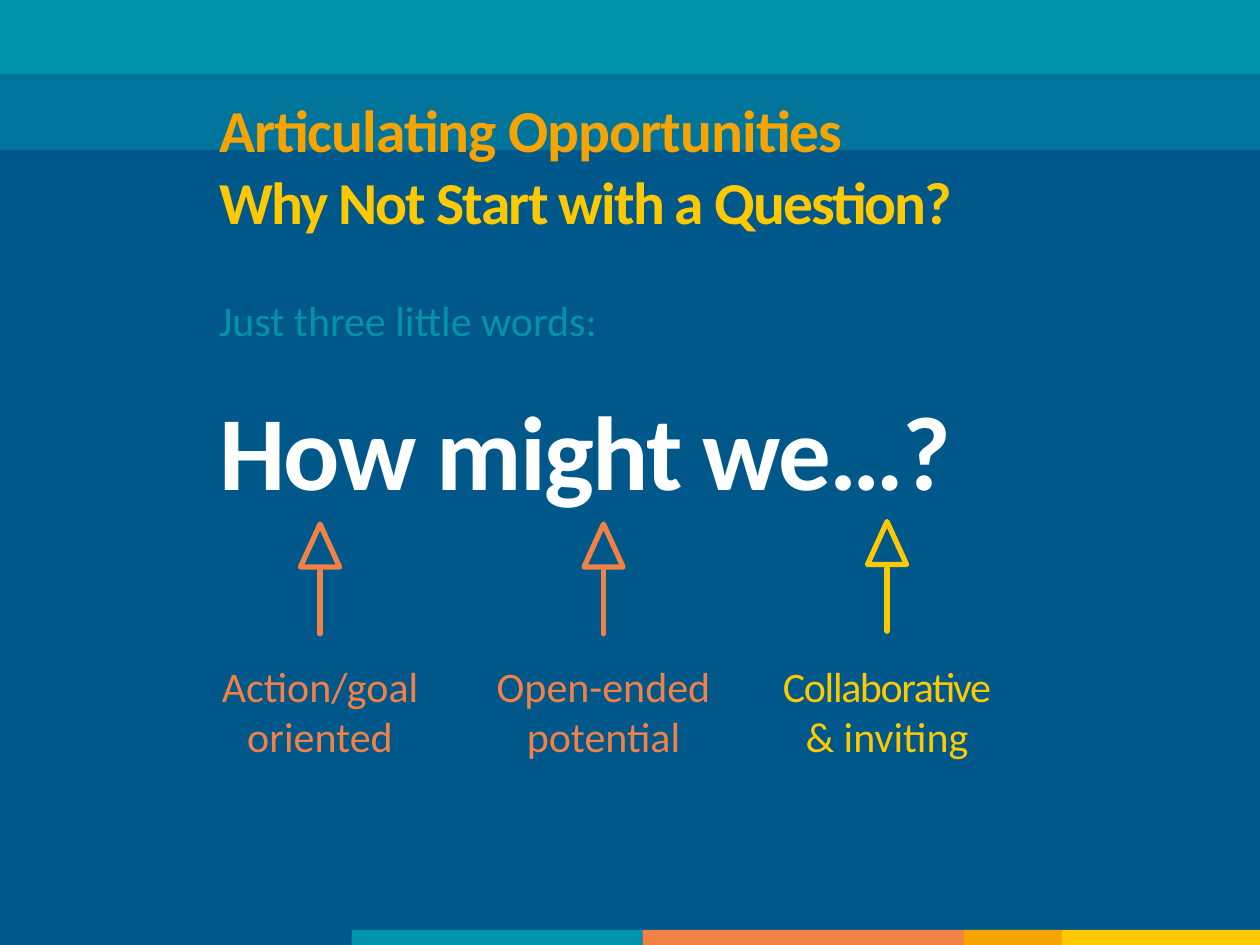
from lxml.etree import SubElement
from pptx import Presentation
from pptx.dml.color import RGBColor
from pptx.enum.shapes import MSO_CONNECTOR, MSO_SHAPE
from pptx.enum.text import MSO_ANCHOR, PP_ALIGN
from pptx.oxml.ns import qn
from pptx.util import Inches, Pt

NAVY = RGBColor(0x00, 0x57, 0x89)
TEAL = RGBColor(0x01, 0x92, 0xAC)
CORAL = RGBColor(0xF2, 0x81, 0x46)
ORANGE = RGBColor(0xF7, 0xA4, 0x00)
YELLOW = RGBColor(0xFE, 0xC9, 0x00)
WHITE = RGBColor(0xFF, 0xFF, 0xFF)

WIDTH, HEIGHT = 10, 7.5
MARGIN = 1.64
BAND_BOTTOMS = [(0.59, 100), (1.19, 50)]  # lower edge, opacity in percent
STRIPE_TOP = 7.38
STRIPE_START = 2.79
STRIPES = [(5.1, TEAL), (7.65, CORAL), (8.43, ORANGE), (WIDTH, YELLOW)]

# Each paragraph is a list of runs: text, colour, letter spacing in points.
TITLE = [
    [("Articulating Opportunities", ORANGE, -0.5)],
    [("Why Not Start with a Question?", YELLOW, -1)],
]
INTRO = [[("Just three little words:", TEAL, 0)]]
QUESTION = [[("How might we…?", WHITE, -1)]]

# Label runs, colour, and top of the arrow.
REASONS = [
    ([("Action/goal oriented", CORAL, 0)], CORAL, 4.16),
    ([("Open-ended potential", CORAL, 0)], CORAL, 4.16),
    ([("Collaborative", YELLOW, -0.8), (" & inviting", YELLOW, 0)], YELLOW, 4.14),
]
FIRST_CENTRE, COLUMN_STEP = 2.54, 2.25
LABEL_TOP, LABEL_WIDTH = 5.14, 2.15
HEAD_WIDTH, HEAD_HEIGHT = 0.31, 0.34
SHAFT_START, SHAFT_END = 0.37, 0.87  # below the top of the arrow


def add_bar(slide, left, top, right, bottom, color, opacity=100):
    bar = slide.shapes.add_shape(
        MSO_SHAPE.RECTANGLE, Inches(left), Inches(top),
        Inches(right - left), Inches(bottom - top))
    bar.shadow.inherit = False
    bar.line.fill.background()
    bar.fill.solid()
    bar.fill.fore_color.rgb = color
    if opacity < 100:
        fill_color = bar.fill._xPr.find(qn("a:solidFill"))[0]
        SubElement(fill_color, qn("a:alpha"), val=str(opacity * 1000))


def add_text(slide, left, top, width, height, paragraphs, size, bold=False,
             align=PP_ALIGN.LEFT, line_spacing=None, inset=0.1):
    box = slide.shapes.add_textbox(
        Inches(left), Inches(top), Inches(width), Inches(height))
    frame = box.text_frame
    frame.word_wrap = True
    frame.vertical_anchor = MSO_ANCHOR.TOP
    frame.margin_left = frame.margin_right = Inches(inset)
    frame.margin_top = frame.margin_bottom = Inches(0.1)
    for index, runs in enumerate(paragraphs):
        para = frame.add_paragraph() if index else frame.paragraphs[0]
        para.alignment = align
        if line_spacing:
            para.line_spacing = Pt(line_spacing)
        for text, color, spacing in runs:
            span = para.add_run()
            span.text = text
            span.font.name = "Calibri"
            span.font.size = Pt(size)
            span.font.bold = bold
            span.font.color.rgb = color
            if spacing:
                span.font._element.set("spc", str(round(spacing * 100)))


def style_stroke(shape, color):
    """Give a shape a thick line with round ends and corners."""
    shape.line.color.rgb = color
    shape.line.width = Pt(3)
    stroke = shape.line._get_or_add_ln()
    stroke.set("cap", "rnd")
    SubElement(stroke, qn("a:round"))


def add_up_arrow(slide, centre, top, color):
    shaft = slide.shapes.add_connector(
        MSO_CONNECTOR.STRAIGHT, Inches(centre), Inches(top + SHAFT_END),
        Inches(centre), Inches(top + SHAFT_START))
    style_stroke(shaft, color)
    SubElement(shaft._element.spPr, qn("a:effectLst"))
    head = slide.shapes.add_shape(
        MSO_SHAPE.ISOSCELES_TRIANGLE, Inches(centre - HEAD_WIDTH / 2),
        Inches(top), Inches(HEAD_WIDTH), Inches(HEAD_HEIGHT))
    head.fill.background()
    style_stroke(head, color)
    head.shadow.inherit = False


def main():
    deck = Presentation()
    deck.slide_width, deck.slide_height = Inches(WIDTH), Inches(HEIGHT)
    slide = deck.slides.add_slide(deck.slide_layouts[6])
    slide.background.fill.solid()
    slide.background.fill.fore_color.rgb = NAVY

    top = 0
    for bottom, opacity in BAND_BOTTOMS:
        add_bar(slide, 0, top, WIDTH, bottom, TEAL, opacity)
        top = bottom
    left = STRIPE_START
    for right, color in STRIPES:
        add_bar(slide, left, STRIPE_TOP, right, HEIGHT, color)
        left = right

    add_text(slide, MARGIN, 0.64, 6.79, 1.3, TITLE, 34, bold=True)
    add_text(slide, MARGIN, 3.1, 7.08, 1.1, QUESTION, 60, bold=True, line_spacing=62)
    add_text(slide, MARGIN, 2.24, 6.79, 0.56, INTRO, 24)

    for column, (label, color, arrow_top) in enumerate(REASONS):
        centre = FIRST_CENTRE + column * COLUMN_STEP
        add_up_arrow(slide, centre, arrow_top, color)
        add_text(slide, centre - LABEL_WIDTH / 2, LABEL_TOP, LABEL_WIDTH, 1,
                 [label], 24, align=PP_ALIGN.CENTER, inset=0.12)

    deck.save("out.pptx")


if __name__ == "__main__":
    main()
